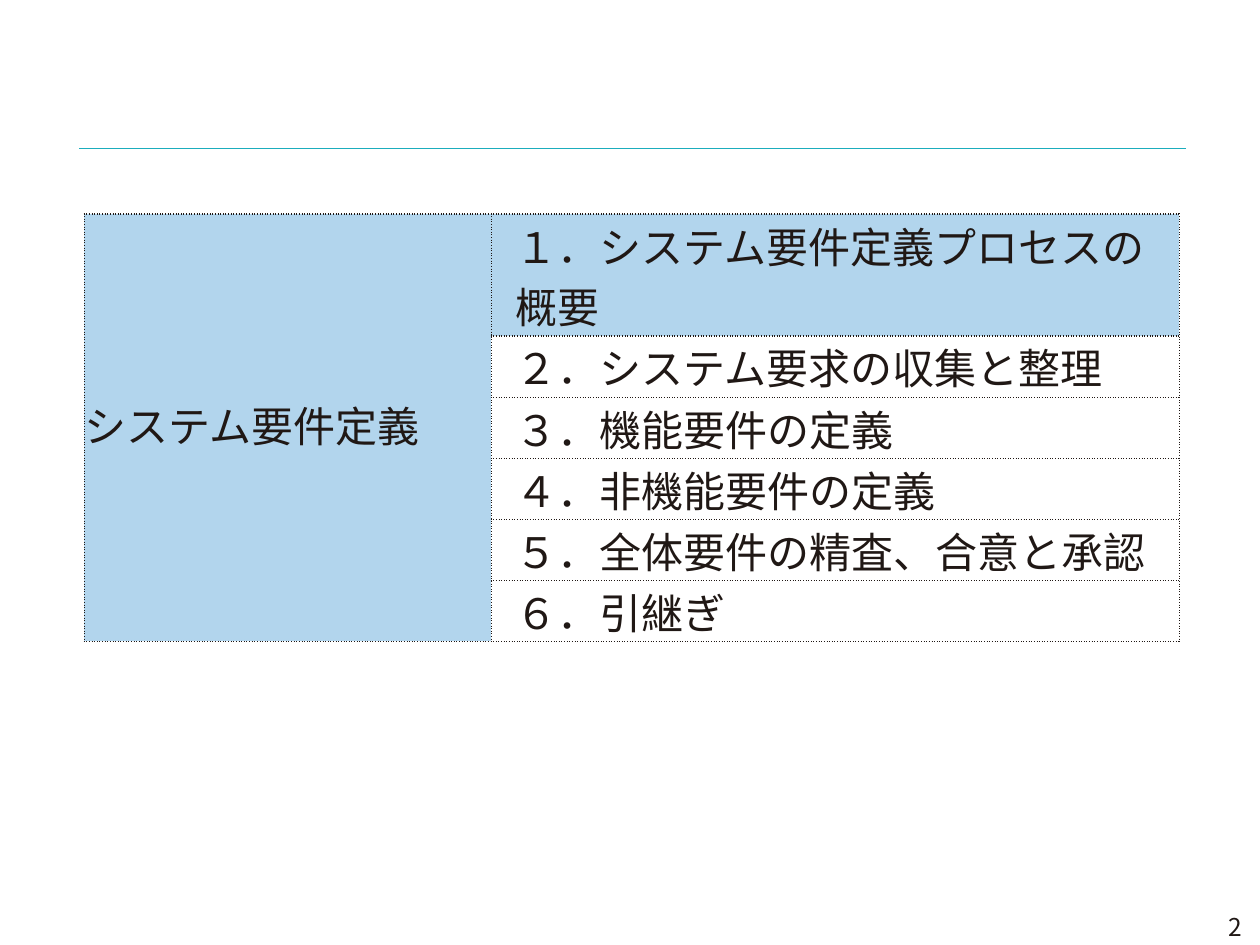
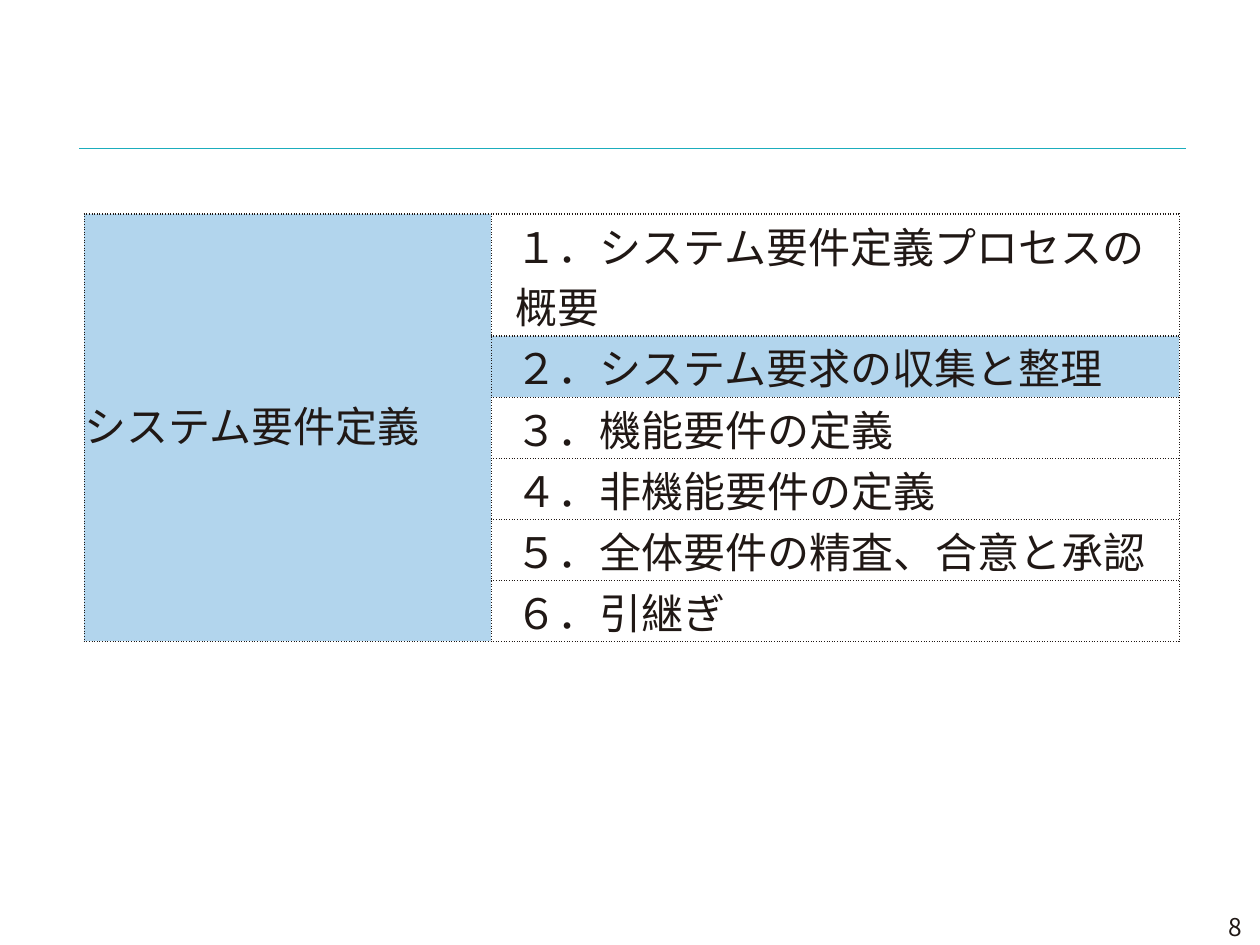
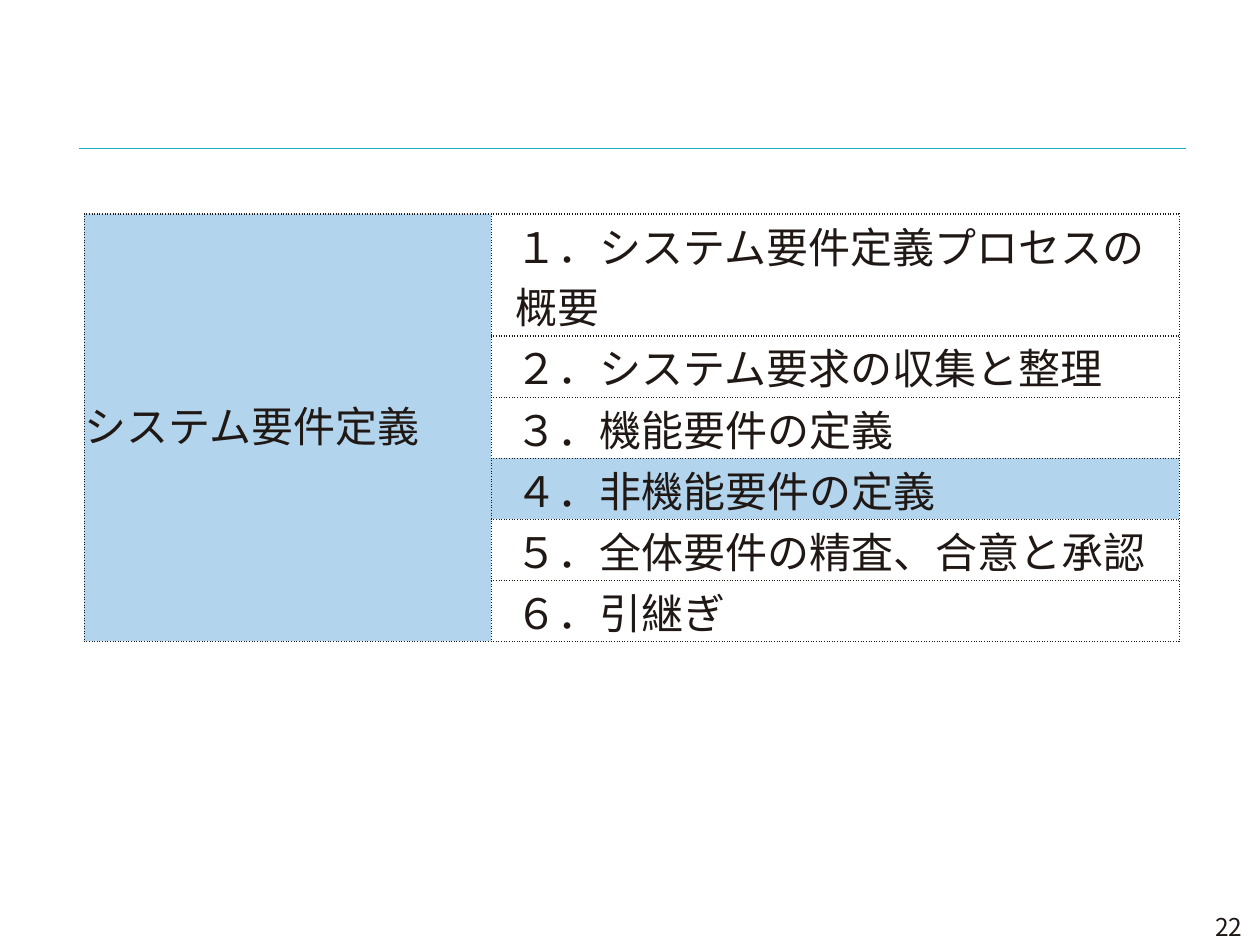
from dataclasses import dataclass

from lxml import etree
from pptx import Presentation
from pptx import util as u
from pptx.dml.color import RGBColor
from pptx.enum import shapes, text
from pptx.oxml import parse_xml
from pptx.oxml.ns import nsdecls, qn


@dataclass(frozen=True)
class Theme:
    font: str = "Noto Sans CJK JP"
    ink: str = "201815"
    rule: str = "1BADBD"
    highlight: str = "B2D5ED"
    plain: str = "FFFFFF"
    table_size: int = 24
    number_size: int = 14
    rule_width: float = 0.25
    border_width: int = 1


THEME = Theme()
CHAPTER = "システム要件定義"
# (section, lines it takes in its cell)
SECTIONS = (
    ("１．システム要件定義プロセスの概要", 2),
    ("２．システム要求の収集と整理", 1),
    ("３．機能要件の定義", 1),
    ("４．非機能要件の定義", 1),
    ("５．全体要件の精査、合意と承認", 1),
    ("６．引継ぎ", 1),
)
# (page number, index of the current section)
AGENDA_PAGES = ((2, 0), (8, 1), (22, 3))
COLUMN_WIDTHS = (3.23, 5.46)
TABLE_HEIGHT = 3.39
LINE_HEIGHT = TABLE_HEIGHT / sum(lines for _, lines in SECTIONS)


def set_attributes(target, values):
    for name, value in values.items():
        setattr(target, name, value)


def write_text(frame, content, size, **paragraph_format):
    paragraph = frame.paragraphs[0]
    set_attributes(paragraph, paragraph_format)
    run = paragraph.add_run()
    run.text = content
    set_attributes(run.font, {"name": THEME.font, "size": u.Pt(size)})
    run.font.color.rgb = RGBColor.from_string(THEME.ink)
    east_asian = etree.SubElement(run.font._element, qn("a:ea"))
    east_asian.set("typeface", THEME.font)
    return paragraph


def add_header_rule(slide):
    rule = slide.shapes.add_connector(
        shapes.MSO_CONNECTOR.STRAIGHT,
        u.Inches(0.63), u.Inches(1.18), u.Inches(9.41), u.Inches(1.18))
    rule.line.width = u.Pt(THEME.rule_width)
    rule.line.color.rgb = RGBColor.from_string(THEME.rule)
    etree.SubElement(rule._element.spPr, qn("a:effectLst"))


def add_page_number(slide, number):
    box = slide.shapes.add_textbox(
        u.Inches(8.57), u.Inches(7.2), u.Inches(1.39), u.Inches(0.31))
    set_attributes(box.text_frame, {
        "word_wrap": True, "vertical_anchor": text.MSO_ANCHOR.MIDDLE})
    write_text(box.text_frame, str(number), THEME.number_size,
               alignment=text.PP_ALIGN.RIGHT)


def add_dotted_borders(cell):
    properties = cell._tc.get_or_add_tcPr()
    for position, side in enumerate(("lnL", "lnR", "lnT", "lnB")):
        properties.insert(position, parse_xml(
            f'<a:{side} {nsdecls("a")} w="{u.Pt(THEME.border_width)}">'
            f'<a:solidFill><a:srgbClr val="{THEME.ink}"/></a:solidFill>'
            f'<a:prstDash val="sysDot"/></a:{side}>'))


def format_cell(cell, color):
    margins = ("margin_left", "margin_right", "margin_top", "margin_bottom")
    set_attributes(cell, dict.fromkeys(margins, 0))
    cell.vertical_anchor = text.MSO_ANCHOR.MIDDLE
    cell.fill.solid()
    cell.fill.fore_color.rgb = RGBColor.from_string(color)
    add_dotted_borders(cell)


def write_cell(cell, content, margin, indent=0, **paragraph_format):
    paragraph = write_text(cell.text_frame, content, THEME.table_size,
                           **paragraph_format)
    properties = paragraph._p.get_or_add_pPr()
    properties.set("marL", str(u.Inches(margin)))
    properties.set("indent", str(u.Inches(indent)))


def add_agenda_table(slide, current):
    """List the sections beside the chapter and highlight the current one."""
    table = slide.shapes.add_table(
        len(SECTIONS), len(COLUMN_WIDTHS), u.Inches(0.67), u.Inches(1.7),
        u.Inches(sum(COLUMN_WIDTHS)), u.Inches(TABLE_HEIGHT)).table
    set_attributes(table, {"first_row": False, "horz_banding": False})
    for column, width in zip(table.columns, COLUMN_WIDTHS):
        column.width = u.Inches(width)

    for index, (section, lines) in enumerate(SECTIONS):
        row = table.rows[index]
        row.height = u.Inches(lines * LINE_HEIGHT)
        chapter_cell, section_cell = row.cells
        format_cell(chapter_cell, THEME.highlight)
        format_cell(section_cell,
                    THEME.highlight if index == current else THEME.plain)
        write_cell(section_cell, section, margin=0.19)

    chapter_cell = table.cell(0, 0)
    chapter_cell.merge(table.cell(len(SECTIONS) - 1, 0))
    write_cell(chapter_cell, CHAPTER, margin=0.11, indent=-0.11,
               line_spacing=0.8, space_before=u.Pt(3))


def main():
    presentation = Presentation()
    set_attributes(presentation, {
        "slide_width": u.Inches(10), "slide_height": u.Inches(7.5)})
    blank_layout = presentation.slide_layouts.get_by_name("Blank")
    for number, current in AGENDA_PAGES:
        slide = presentation.slides.add_slide(blank_layout)
        add_header_rule(slide)
        add_page_number(slide, number)
        add_agenda_table(slide, current)
    presentation.save("out.pptx")


if __name__ == "__main__":
    main()
